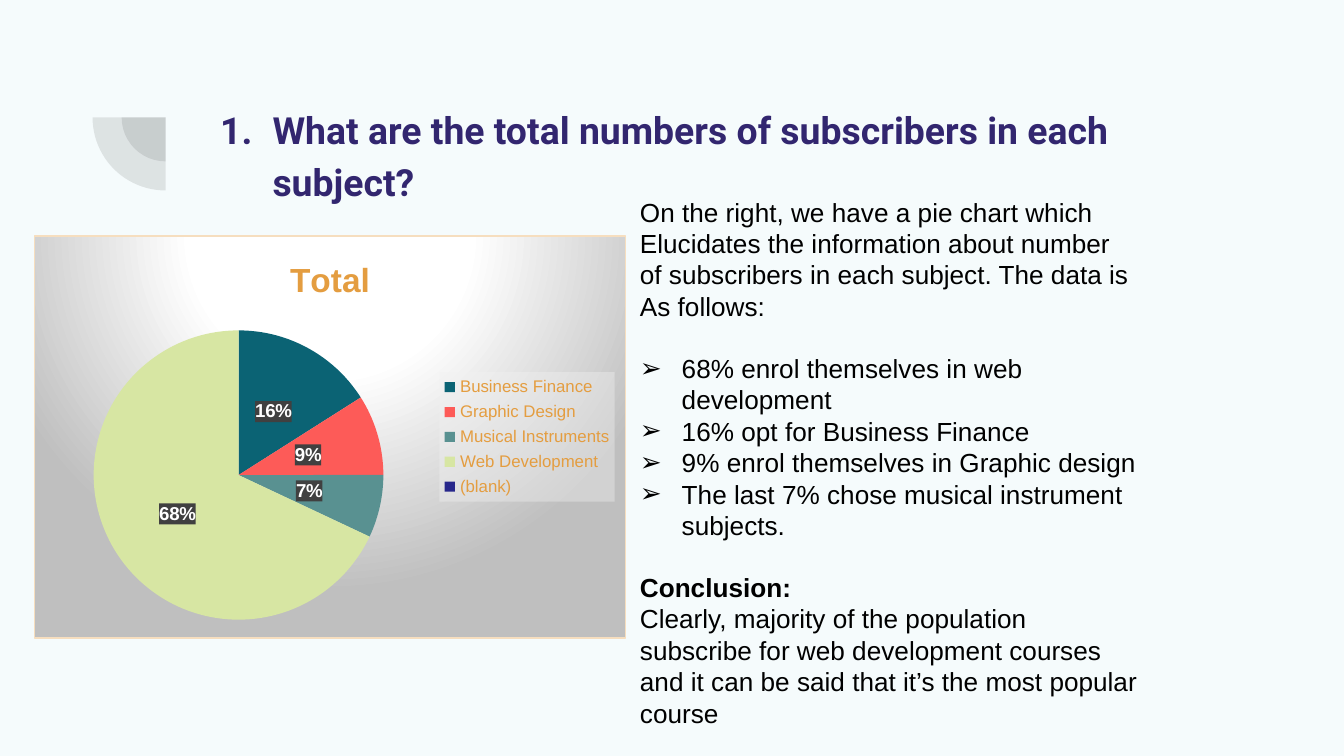
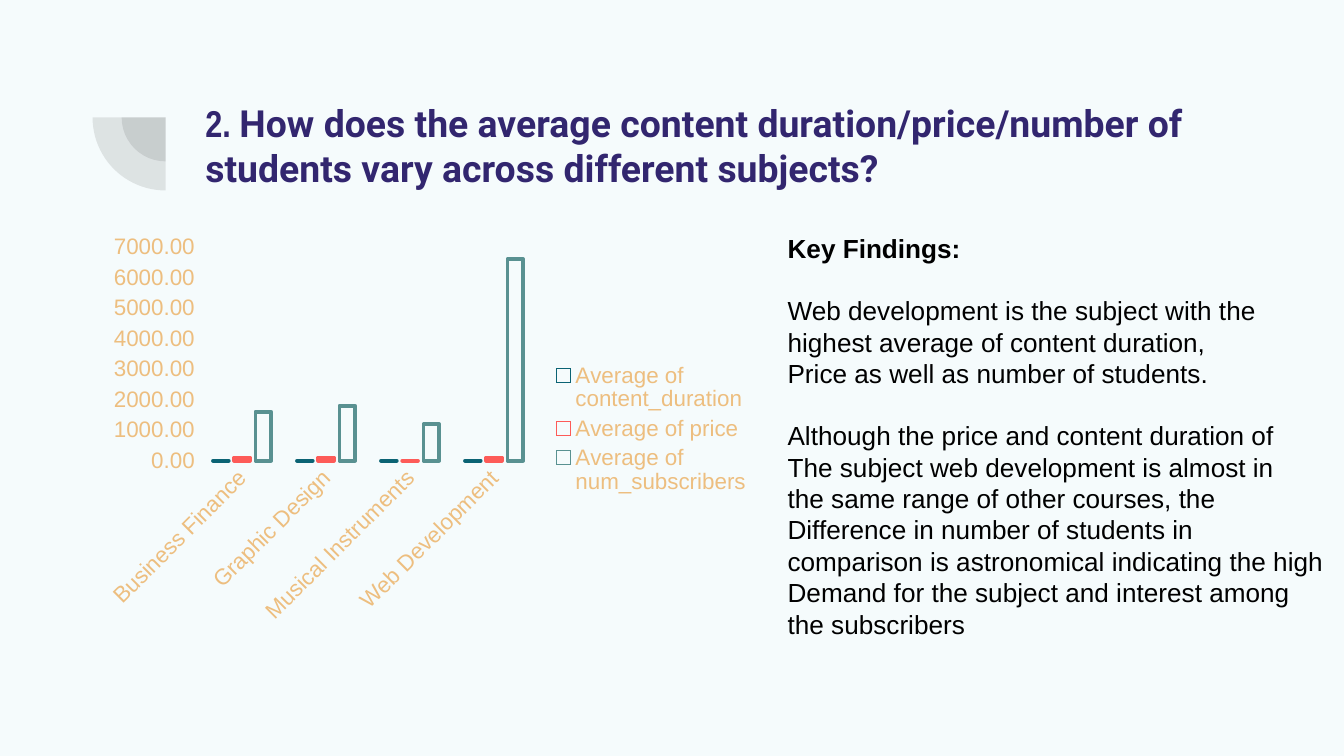
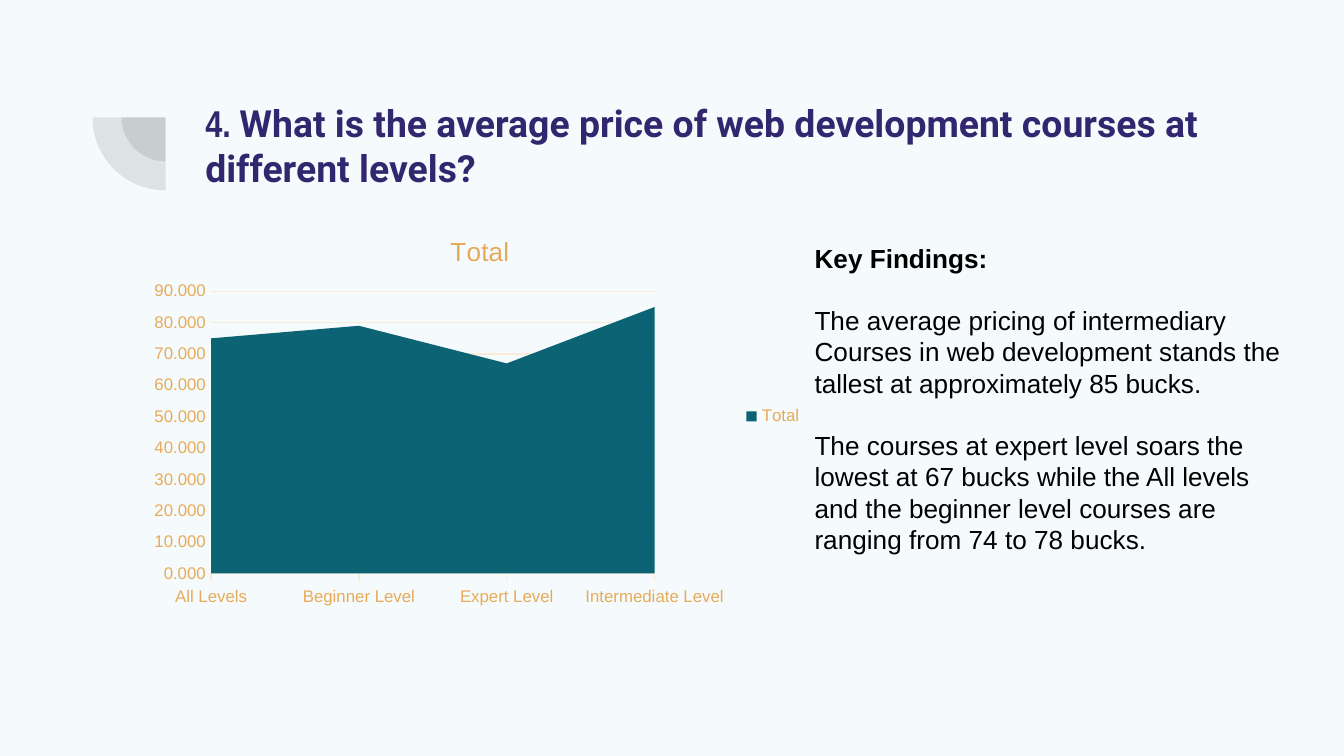
from lxml import etree
from pptx import Presentation
from pptx.chart.data import CategoryChartData
from pptx.dml.color import RGBColor
from pptx.enum.chart import (XL_CHART_TYPE, XL_LABEL_POSITION,
                             XL_LEGEND_POSITION, XL_TICK_MARK)
from pptx.enum.shapes import MSO_SHAPE
from pptx.enum.text import MSO_ANCHOR, MSO_AUTO_SIZE, PP_ALIGN
from pptx.oxml import parse_xml
from pptx.oxml.ns import qn
from pptx.util import Cm, Pt

PIE, BARS, AREA = (XL_CHART_TYPE.PIE, XL_CHART_TYPE.COLUMN_CLUSTERED,
                   XL_CHART_TYPE.AREA)
RIGHT, CENTER = XL_LEGEND_POSITION.RIGHT, XL_LABEL_POSITION.CENTER
NO_TICK, TICK_OUT = XL_TICK_MARK.NONE, XL_TICK_MARK.OUTSIDE
LEFT, JUSTIFY = PP_ALIGN.LEFT, PP_ALIGN.JUSTIFY

PAPER, INK, BLACK, GREY, WHITE = "F5FBFC", "32266F", "000000", "424242", "FFFFFF"
TEAL, CORAL, SAGE, LIME, NAVY = "0B6374", "FD5B58", "599191", "D7E6A3", "27278B"
GOLD, SAND, AMBER, CREAM = "E49D40", "EDBE7F", "E8AA59", "FAEBD9"
HEAD, BODY, NARROW = "Roboto", "Arial", "Arial Narrow"
GAP = Pt(16.5)

SPACES = ('xmlns:a="http://schemas.openxmlformats.org/drawingml/2006/main" '
          'xmlns:c="http://schemas.openxmlformats.org/drawingml/2006/chart"')
CLEAR = "<a:noFill/><a:ln><a:noFill/></a:ln>"
GLOW = (
    '<a:gradFill><a:gsLst>'
    '<a:gs pos="0"><a:srgbClr val="FFFFFF"/></a:gs>'
    '<a:gs pos="39000"><a:srgbClr val="FFFFFF"/></a:gs>'
    '<a:gs pos="100000"><a:srgbClr val="BFBFBF"/></a:gs></a:gsLst>'
    '<a:path path="circle">'
    '<a:fillToRect l="50000" t="-80000" r="50000" b="180000"/></a:path>'
    '</a:gradFill>'
    '<a:ln w="9525"><a:solidFill><a:srgbClr val="F6DEBF"/></a:solidFill></a:ln>')
VEIL = ('<a:solidFill><a:srgbClr val="F2F2F2"><a:alpha val="39000"/>'
        '</a:srgbClr></a:solidFill>')
DARK = '<a:solidFill><a:srgbClr val="404040"/></a:solidFill>'

SUBJECTS = ["Business Finance", "Graphic Design", "Musical Instruments",
            "Web Development"]
LEVELS = ["All Levels", "Beginner Level", "Expert Level", "Intermediate Level"]

# Each block: kind, gap above, lines
SHARES = [
    ("plain", False, ["On the right, we have a pie chart which",
                      "Elucidates the information about number",
                      "of subscribers in each subject. The data is",
                      "As follows:"]),
    ("item", True, ["68% enrol themselves in web development",
                    "16% opt for Business Finance",
                    "9% enrol themselves in Graphic design",
                    "The last 7% chose musical instrument subjects."]),
    ("bold", True, ["Conclusion:"]),
    ("flow", False, ["Clearly, majority of the population subscribe for web "
                     "development courses and it can be said that it’s the "
                     "most popular course"]),
]
MEANS = [
    ("bold", False, ["Key Findings:"]),
    ("plain", True, ["Web development is the subject with the",
                     "highest average of content duration,",
                     "Price as well as number of students."]),
    ("plain", True, ["Although the price and content duration of",
                     "The subject web development is almost in",
                     "the same range of other courses, the",
                     "Difference in number of students in",
                     "comparison is astronomical indicating the high",
                     "Demand for the subject and interest among",
                     "the subscribers"]),
]
PRICES = [
    ("bold", False, ["Key Findings:"]),
    ("flow", True, ["The average pricing of intermediary",
                    "Courses in web development stands the",
                    "tallest at approximately 85 bucks."]),
    ("flow", True, ["The courses at expert level soars the lowest at 67 bucks "
                    "while the All levels and the beginner level courses are "
                    "ranging from 74 to 78 bucks."]),
]


def rgb(code):
    return RGBColor.from_string(code)


def style(font, name, size, color, bold=False):
    font.name, font.size, font.bold = name, Pt(size), bold
    font.color.rgb = rgb(color)


def place(shape, left, top, width, height):
    shape.left, shape.top = Cm(left), Cm(top)
    shape.width, shape.height = Cm(width), Cm(height)


def mark(par, color=None, left=0, hang=0, **kinds):
    """Set the indent and the bullet of a paragraph, or no bullet."""
    props = par._p.get_or_add_pPr()
    props.set("marL", str(Cm(left)))
    props.set("indent", str(-Cm(hang)))
    if color:
        tint = etree.SubElement(props, qn("a:buClr"))
        etree.SubElement(tint, qn("a:srgbClr")).set("val", color)
    for tag, (key, value) in (kinds or {"buNone": (None, None)}).items():
        node = etree.SubElement(props, qn("a:" + tag))
        if key:
            node.set(key, value)


def add_arcs(slide, layout):
    """Put the two quarter discs on the layout, so that all slides show them."""
    for radius in (0.83, 1.38):
        arc = slide.shapes.add_shape(
            MSO_SHAPE.PIE, Cm(3.13 - radius), Cm(2.22 - radius),
            Cm(2 * radius), Cm(2 * radius))
        arc.adjustments[0], arc.adjustments[1] = 108, 162
        arc.rotation = 270
        arc.shadow.inherit = False
        arc.line.fill.background()
        arc.fill.solid()
        arc.fill.fore_color.rgb = rgb(GREY)
        tint = arc._element.spPr.find(".//" + qn("a:srgbClr"))
        etree.SubElement(tint, qn("a:alpha")).set("val", "13000")
        layout.shapes._spTree.append(arc._element)


def add_title(slide, text, number=None):
    """Write the title; without a number it is an automatic list item."""
    title = slide.shapes.title
    place(title, 3.63, 1.65, 19.53, 2.77)
    frame = title.text_frame
    frame.auto_size = MSO_AUTO_SIZE.NONE
    frame.vertical_anchor = MSO_ANCHOR.TOP
    frame.word_wrap = True
    frame.margin_left = frame.margin_right = Cm(0.25)
    frame.margin_top = frame.margin_bottom = Cm(0.25)
    par = frame.paragraphs[0]
    par.alignment = LEFT
    if number:
        mark(par)
        lead = par.add_run()
        lead.text, lead.font.name = number + " ", NARROW
    else:
        mark(par, INK, 1.27, 0.99, buFont=("typeface", HEAD),
             buAutoNum=("type", "arabicPeriod"))
        par.line_spacing = 1.15
    style(par.font, HEAD, 20, INK, True)
    run = par.add_run()
    run.text, run.font.name = text, HEAD


def add_body(slide, box, blocks):
    body = slide.placeholders[1]
    place(body, *box)
    frame = body.text_frame
    frame.word_wrap = True
    frame.auto_size = MSO_AUTO_SIZE.SHAPE_TO_FIT_TEXT
    par = None
    for kind, gap, lines in blocks:
        for row, line in enumerate(lines):
            par = frame.add_paragraph() if par else frame.paragraphs[0]
            par.text = line
            par.alignment = JUSTIFY if kind == "plain" else LEFT
            if kind == "item":
                mark(par, BLACK, 0.79, 0.79, buFont=("typeface", BODY),
                     buChar=("char", "➢"))
            else:
                mark(par)
            par.space_before = GAP if gap and row == 0 else Pt(0)
            style(par.font, BODY, 14, BLACK, kind == "bold")


def paint(node, fill):
    """Give a chart part its fill and line, just before its text style."""
    props = parse_xml(f"<c:spPr {SPACES}>{fill}</c:spPr>")
    node.find(qn("c:txPr")).addprevious(props)


def set_plot(chart, *area):
    """Fix the inner plot area, as shares of the chart's size."""
    plot = chart._chartSpace.chart.plotArea
    for old in plot.findall(qn("c:layout")):
        plot.remove(old)
    sizes = "".join(f'<c:{tag} val="{part}"/>' for tag, part in zip("xywh", area))
    plot.insert(0, parse_xml(
        f'<c:layout {SPACES}><c:manualLayout><c:layoutTarget val="inner"/>'
        f'<c:xMode val="edge"/><c:yMode val="edge"/>{sizes}'
        '</c:manualLayout></c:layout>'))


def add_chart(slide, kind, box, names, series, color, size, back=CLEAR):
    """Add a chart with its legend, without a title."""
    data = CategoryChartData()
    data.categories = names
    for name, values in series:
        data.add_series(name, values)
    chart = slide.shapes.add_chart(kind, *map(Cm, box), data).chart
    style(chart.font, BODY, 10, color)
    paint(chart._chartSpace, back)
    chart.has_title = False
    chart.has_legend = True
    chart.legend.position = RIGHT
    chart.legend.include_in_layout = False
    style(chart.legend.font, BODY, size, color)
    return chart


def name_chart(chart, text, size, color, bold=False):
    chart.has_title = True
    par = chart.chart_title.text_frame.paragraphs[0]
    par.text = text
    style(par.font, BODY, size, color, bold)
    chart.chart_title.include_in_layout = False


def set_axes(chart, size, color, form):
    for axis in (chart.category_axis, chart.value_axis):
        axis.major_tick_mark = axis.minor_tick_mark = NO_TICK
        axis.has_major_gridlines = False
        axis.format.line.fill.background()
        style(axis.tick_labels.font, BODY, size, color)
    labels = chart.value_axis.tick_labels
    labels.number_format, labels.number_format_is_linked = form, False


def set_line(line, color, width):
    line.color.rgb, line.width = rgb(color), Pt(width)


def add_pie(slide):
    chart = add_chart(slide, PIE, (0.64, 4.45, 11.2, 7.62),
                      SUBJECTS + ["(blank)"], [("Total", [16, 9, 7, 68, None])],
                      GOLD, 9, GLOW)
    name_chart(chart, "Total", 18, GOLD, True)
    set_plot(chart, 0.1, 0.23, 0.49, 0.73)
    paint(chart.legend._element, VEIL)
    plot = chart.plots[0]
    plot.vary_by_categories = True
    for index, color in enumerate((TEAL, CORAL, SAGE, LIME, NAVY)):
        fill = plot.series[0].points[index].format.fill
        fill.solid()
        fill.fore_color.rgb = rgb(color)
    plot.has_data_labels = True
    labels = plot.data_labels
    labels.show_percentage, labels.show_value = True, False
    labels.number_format, labels.number_format_is_linked = "0%", False
    labels.position = CENTER
    style(labels.font, BODY, 10, WHITE, True)
    paint(labels._element, DARK)


def add_bars(slide):
    chart = add_chart(slide, BARS, (1.75, 4.29, 12.7, 7.62), SUBJECTS,
                      [("Average of content_duration", [0, 0, 0, 0]),
                       ("Average of price", [100, 100, 0, 100]),
                       ("Average of num_subscribers", [1600, 1800, 1200, 6600])],
                      SAND, 12)
    set_axes(chart, 12, SAND, "0.00")
    set_plot(chart, 0.16, 0.05, 0.5, 0.53)
    text = chart.category_axis._element.find(qn("c:txPr")).find(qn("a:bodyPr"))
    text.set("rot", "-2700000")
    plot = chart.plots[0]
    plot.vary_by_categories = False
    plot.gap_width, plot.overlap = 164, -35
    for group, color in zip(plot.series, (TEAL, CORAL, SAGE)):
        group.format.fill.background()
        set_line(group.format.line, color, 2)


def add_area(slide):
    chart = add_chart(slide, AREA, (2.72, 4.06, 12.7, 7.62), LEVELS,
                      [("Total", [75, 79, 67, 85])], AMBER, 9)
    name_chart(chart, "Total", 14, AMBER)
    set_axes(chart, 9, AMBER, "0.000")
    set_plot(chart, 0.1, 0.19, 0.66, 0.7)
    base, scale = chart.category_axis, chart.value_axis
    base.major_tick_mark = TICK_OUT
    set_line(base.format.line, CREAM, 0.75)
    scale.has_major_gridlines = True
    set_line(scale.major_gridlines.format.line, CREAM, 0.75)
    scale._element.find(qn("c:crossBetween")).set("val", "midCat")
    plot = chart.plots[0]
    plot.vary_by_categories = False
    fill = plot.series[0].format.fill
    fill.solid()
    fill.fore_color.rgb = rgb(TEAL)


def main():
    deck = Presentation()
    deck.slide_width, deck.slide_height = Cm(25.4), Cm(14.29)
    layout = deck.slide_layouts[1]
    layout.background.fill.solid()
    layout.background.fill.fore_color.rgb = rgb(PAPER)

    slide = deck.slides.add_slide(layout)
    add_arcs(slide, layout)
    add_title(slide, "What are the total numbers of subscribers in each subject?")
    add_body(slide, (11.84, 3.58, 9.93, 10.44), SHARES)
    add_pie(slide)

    slide = deck.slides.add_slide(layout)
    add_title(slide, "How does the average content duration/price/number of "
                     "students vary across different subjects?", "2.")
    add_body(slide, (14.63, 4.27, 10.77, 8.64), MEANS)
    add_bars(slide)

    slide = deck.slides.add_slide(layout)
    add_title(slide, "What is the average price of web development courses at "
                     "different levels?", "4.")
    add_body(slide, (15.14, 4.45, 9.63, 6.83), PRICES)
    add_area(slide)

    deck.save("out.pptx")


if __name__ == "__main__":
    main()
